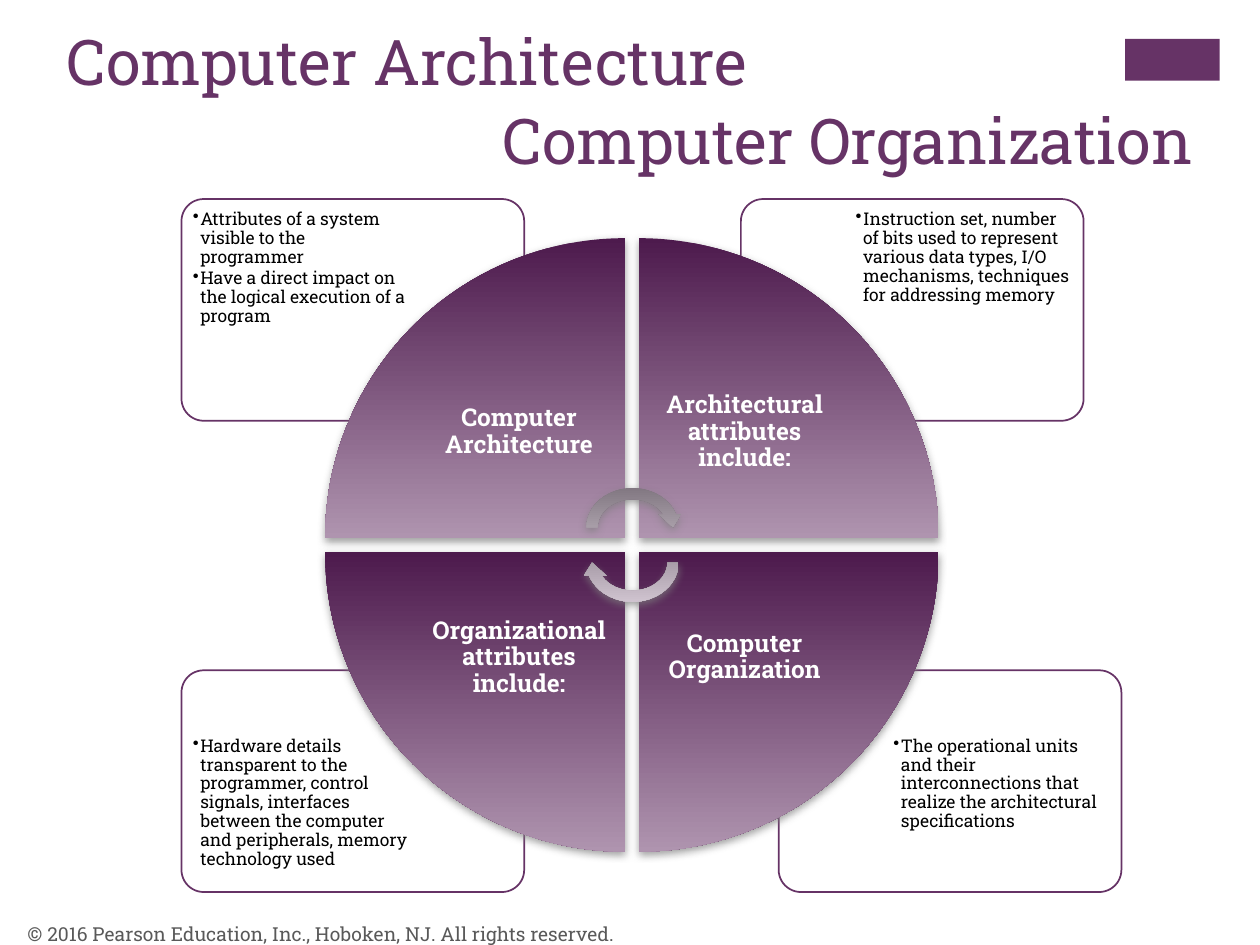
from dataclasses import dataclass

from lxml.etree import SubElement
from pptx import Presentation
from pptx.dml.color import RGBColor
from pptx.enum.shapes import MSO_SHAPE as Shape
from pptx.enum.text import MSO_ANCHOR as Anchor, PP_ALIGN as Align
from pptx.oxml import parse_xml
from pptx.oxml.ns import nsdecls, qn
from pptx.util import Inches, Pt

FONT = "Roboto Slab"
PURPLE = RGBColor(0x66, 0x33, 0x66)
WEDGE_DARK = RGBColor(0x4D, 0x1A, 0x4D)
WEDGE_LIGHT = RGBColor(0xAF, 0x94, 0xAF)
ARROW_DARK = RGBColor(0x7D, 0x73, 0x7D)
ARROW_LIGHT = RGBColor(0xD4, 0xC8, 0xD4)
BLACK = RGBColor(0x00, 0x00, 0x00)
WHITE = RGBColor(0xFF, 0xFF, 0xFF)
GRAY = RGBColor(0x59, 0x59, 0x59)

CARD_WIDTH, CARD_HEIGHT = 2.72, 1.76
NOTE_WIDTH, NOTE_HEIGHT = 1.82, 1.24
NOTE_MARGIN = 0.04
WEDGE_LEFT, WEDGE_TOP = 2.58, 1.89
WEDGE_SIZE, WEDGE_STEP = 2.38, 2.49
LABEL_SIZE = 1.68


@dataclass
class Quadrant:
    label: str
    notes: list[str]
    column: int
    row: int
    rotation: int
    card_left: float
    card_top: float


QUADRANTS = [
    Quadrant("Computer Architecture",
             ["Attributes of a system visible to the programmer",
              "Have a direct impact on the logical execution of a program"],
             0, 0, 0, 1.44, 1.58),
    Quadrant("Architectural attributes include:",
             ["Instruction set, number of bits used to represent various data types, "
              "I/O mechanisms, techniques for addressing memory"],
             1, 0, 90, 5.88, 1.58),
    Quadrant("Computer Organization",
             ["The operational units and their interconnections that realize "
              "the architectural specifications"],
             1, 1, 180, 6.18, 5.32),
    Quadrant("Organizational attributes include:",
             ["Hardware details transparent to the programmer, control signals, "
              "interfaces between the computer and peripherals, memory technology used"],
             0, 1, 270, 1.44, 5.32),
]


def add_text(slide, paragraphs: list[str], left: float, top: float, width: float, height: float,
             *, size: float, color: RGBColor, bold: bool = False, align=Align.LEFT,
             anchor=Anchor.TOP, insets: tuple[float, float] = (0.1, 0.05),
             line_spacing: float = 1.0, space_after: float = 0, bullet: bool = False) -> None:
    box = slide.shapes.add_textbox(Inches(left), Inches(top), Inches(width), Inches(height))
    frame = box.text_frame
    frame.word_wrap = True
    frame.vertical_anchor = anchor
    frame.margin_left = frame.margin_right = Inches(insets[0])
    frame.margin_top = frame.margin_bottom = Inches(insets[1])
    for index, text in enumerate(paragraphs):
        paragraph = frame.paragraphs[0] if index == 0 else frame.add_paragraph()
        paragraph.alignment = align
        paragraph.line_spacing = line_spacing
        paragraph.space_after = Pt(space_after)
        if bullet:
            properties = paragraph._p.get_or_add_pPr()
            properties.set("marL", str(Inches(0.06)))
            properties.set("indent", str(Inches(-0.06)))
            SubElement(properties, qn("a:buChar")).set("char", "•")
        run = paragraph.add_run()
        run.text = text
        run.font.name = FONT
        run.font.size = Pt(size)
        run.font.bold = bold
        run.font.color.rgb = color


def add_plain_shape(slide, kind, left: float, top: float, width: float, height: float,
                    fill: RGBColor):
    shape = slide.shapes.add_shape(kind, Inches(left), Inches(top), Inches(width), Inches(height))
    shape.shadow.inherit = False
    shape.fill.solid()
    shape.fill.fore_color.rgb = fill
    shape.line.fill.background()
    return shape


def add_shaded_shape(slide, kind, left: float, top: float, width: float, height: float,
                     rotation: int, dark: RGBColor, light: RGBColor) -> None:
    shape = add_plain_shape(slide, kind, left, top, width, height, dark)
    shape.rotation = rotation
    properties = shape._element.spPr
    gradient = parse_xml(
        f'<a:gradFill {nsdecls("a")} rotWithShape="0"><a:gsLst>'
        f'<a:gs pos="0"><a:srgbClr val="{dark}"/></a:gs>'
        f'<a:gs pos="100000"><a:srgbClr val="{light}"/></a:gs>'
        '</a:gsLst><a:lin ang="5400000" scaled="0"/></a:gradFill>')
    properties.replace(properties.find(qn("a:solidFill")), gradient)
    properties.find(qn("a:effectLst")).append(parse_xml(
        f'<a:outerShdw {nsdecls("a")} blurRad="{Pt(5)}" dist="{Pt(2)}" dir="5400000" '
        'rotWithShape="0"><a:srgbClr val="808080"><a:alpha val="75000"/></a:srgbClr>'
        '</a:outerShdw>'))


def add_card(slide, quadrant: Quadrant) -> None:
    left, top = quadrant.card_left, quadrant.card_top
    card = add_plain_shape(slide, Shape.ROUNDED_RECTANGLE, left, top,
                           CARD_WIDTH, CARD_HEIGHT, WHITE)
    card.adjustments[0] = 0.1
    color = card._element.spPr.find(qn("a:solidFill"))[0]
    SubElement(color, qn("a:alpha")).set("val", "90000")
    card.line.color.rgb = PURPLE
    card.line.width = Pt(1)
    note_left = left + (CARD_WIDTH - NOTE_WIDTH - NOTE_MARGIN if quadrant.column else NOTE_MARGIN)
    note_top = top + (CARD_HEIGHT - NOTE_HEIGHT - NOTE_MARGIN if quadrant.row else NOTE_MARGIN)
    add_text(slide, quadrant.notes, note_left, note_top, NOTE_WIDTH, NOTE_HEIGHT,
             size=10, color=BLACK, insets=(0.05, 0.05), line_spacing=0.9,
             space_after=1.5, bullet=True)


def add_wedge(slide, quadrant: Quadrant) -> None:
    left = WEDGE_LEFT + quadrant.column * WEDGE_STEP
    top = WEDGE_TOP + quadrant.row * WEDGE_STEP
    add_shaded_shape(slide, Shape.PIE_WEDGE, left, top, WEDGE_SIZE, WEDGE_SIZE,
                     quadrant.rotation, WEDGE_DARK, WEDGE_LIGHT)
    inner = WEDGE_SIZE - LABEL_SIZE
    add_text(slide, [quadrant.label], left + inner * (1 - quadrant.column),
             top + inner * (1 - quadrant.row), LABEL_SIZE, LABEL_SIZE,
             size=14, color=WHITE, bold=True, align=Align.CENTER, anchor=Anchor.MIDDLE,
             insets=(0.11, 0.11), line_spacing=0.9)


def main() -> None:
    presentation = Presentation()
    presentation.slide_width = Inches(10)
    presentation.slide_height = Inches(7.5)
    slide = presentation.slides.add_slide(presentation.slide_layouts[6])

    add_plain_shape(slide, Shape.RECTANGLE, 8.93, 0.31, 0.75, 0.33, PURPLE)
    add_text(slide, ["Computer Architecture"], 0.43, 0.13, 8.26, 1.09, size=36, color=PURPLE)
    for quadrant in reversed(QUADRANTS):
        add_card(slide, quadrant)
    for quadrant in QUADRANTS:
        add_wedge(slide, quadrant)
    for top, rotation in ((3.83, 0), (4.11, 180)):
        add_shaded_shape(slide, Shape.CIRCULAR_ARROW, 4.61, top, 0.82, 0.71,
                         rotation, ARROW_DARK, ARROW_LIGHT)
    add_text(slide, ["Computer Organization"], 1.3, 0.76, 8.27, 0.85,
             size=36, color=PURPLE, align=Align.RIGHT)
    add_text(slide, ["© 2016 Pearson Education, Inc., Hoboken, NJ. All rights reserved."],
             0.12, 7.21, 6.7, 0.4, size=11, color=GRAY, anchor=Anchor.MIDDLE)
    presentation.save("out.pptx")


if __name__ == "__main__":
    main()
